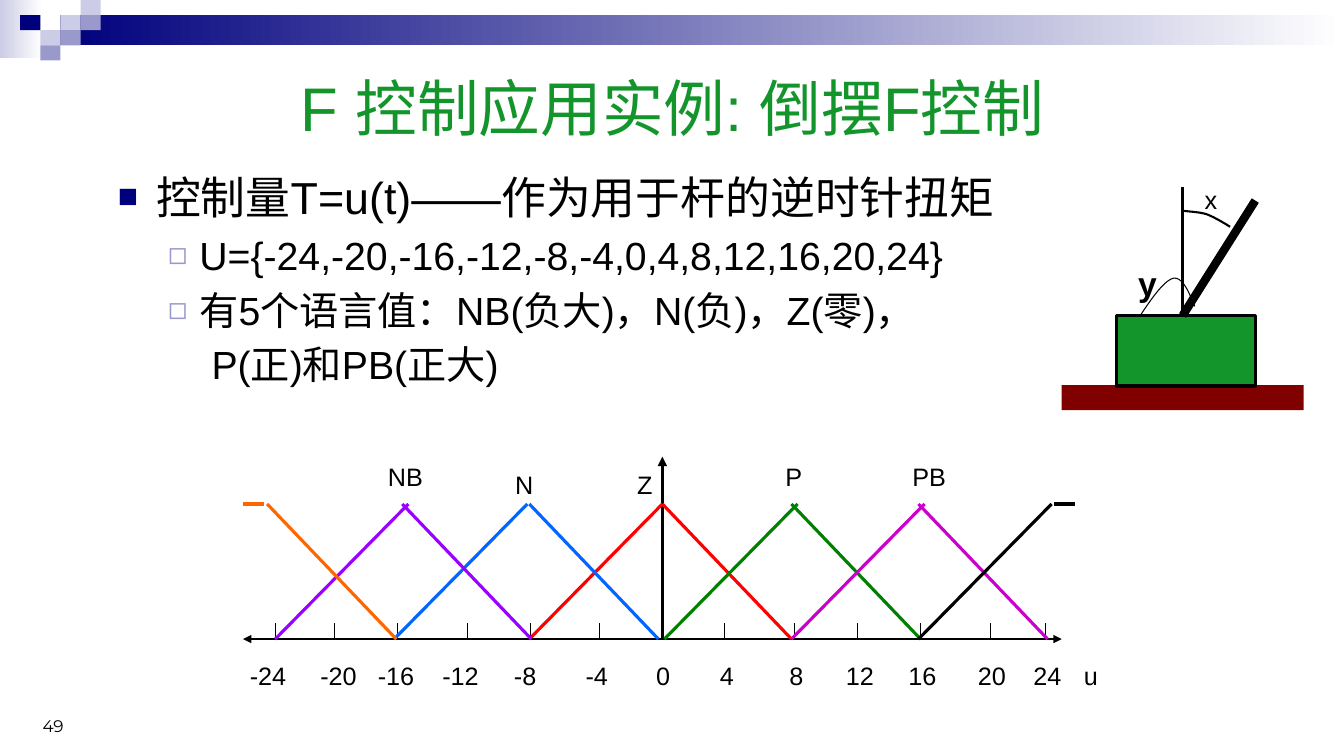
from pptx import Presentation
from pptx.dml.color import RGBColor
from pptx.enum.shapes import MSO_CONNECTOR, MSO_SHAPE
from pptx.enum.text import MSO_ANCHOR, PP_ALIGN
from pptx.oxml.ns import qn
from pptx.util import Inches, Pt
from lxml import etree

BLACK, NAVY, GREEN, MAROON = "000000", "00007D", "13952C", "800000"
LAVENDER, PERIWINKLE, WHITE = "CCCCE6", "9999CC", "FFFFFF"


def rgb(value):
    return RGBColor.from_string(value)


def add_xml(parent, tag, **attributes):
    return etree.SubElement(parent, qn(tag), attributes)


def bezier(start, *segments, steps=10):
    """Points along a chain of cubic curves."""
    points = [start]
    for c1, c2, end in segments:
        p0 = points[-1]
        for i in range(1, steps + 1):
            t, s = i / steps, 1 - i / steps
            points.append(tuple(
                s**3 * a + 3 * s * s * t * b + 3 * s * t * t * c + t**3 * d
                for a, b, c, d in zip(p0, c1, c2, end)))
    return points


class SlideBuilder:
    font = "Arial"

    def __init__(self, slide):
        self.slide = slide
        self.shapes = slide.shapes

    def rect(self, x, y, w, h, fill, line=None, width=2.25):
        shape = self.shapes.add_shape(
            MSO_SHAPE.RECTANGLE, Inches(x), Inches(y), Inches(w), Inches(h))
        shape.shadow.inherit = False
        if isinstance(fill, tuple):
            shape.fill.gradient()
            shape.fill.gradient_angle = 0
            for stop, position, color in zip(shape.fill.gradient_stops, (0, 1), fill):
                stop.position = position
                stop.color.rgb = rgb(color)
        else:
            shape.fill.solid()
            shape.fill.fore_color.rgb = rgb(fill)
        if line:
            shape.line.color.rgb = rgb(line)
            shape.line.width = Pt(width)
        else:
            shape.line.fill.background()

    def line(self, start, end, color=BLACK, width=2.25, head=False, tail=False):
        connector = self.shapes.add_connector(
            MSO_CONNECTOR.STRAIGHT, *(Inches(v) for v in (*start, *end)))
        connector.line.color.rgb = rgb(color)
        connector.line.width = Pt(width)
        outline = connector.line._get_or_add_ln()
        for tag, wanted in (("a:headEnd", head), ("a:tailEnd", tail)):
            if wanted:
                add_xml(outline, tag, type="triangle")
        add_xml(connector._element.spPr, "a:effectLst")

    def curve(self, points, width):
        points = [(Inches(x), Inches(y)) for x, y in points]
        builder = self.shapes.build_freeform(*points[0])
        builder.add_line_segments(points[1:], close=False)
        shape = builder.convert_to_shape()
        shape.shadow.inherit = False
        shape.fill.background()
        shape.line.color.rgb = rgb(BLACK)
        shape.line.width = Pt(width)

    def box(self, x, y, w, h, anchor=MSO_ANCHOR.TOP):
        frame = self.shapes.add_textbox(
            Inches(x), Inches(y), Inches(w), Inches(h)).text_frame
        frame.word_wrap = True
        frame.vertical_anchor = anchor
        return frame

    def styled_run(self, paragraph, text, size, color=BLACK, bold=False, font=None,
                   align=PP_ALIGN.LEFT):
        paragraph.alignment = align
        run = paragraph.add_run()
        run.text = text
        run.font.name = font or self.font
        run.font.size = Pt(size)
        run.font.bold = bold
        run.font.color.rgb = rgb(color)

    def text(self, x, y, w, h, text, size, anchor=MSO_ANCHOR.TOP, **style):
        frame = self.box(x, y, w, h, anchor)
        self.styled_run(frame.paragraphs[0], text, size, **style)

    def bullets(self, x, y, w, h, items):
        frame = self.box(x, y, w, h)
        for i, (text, size, margin, indent, bullet) in enumerate(items):
            paragraph = frame.add_paragraph() if i else frame.paragraphs[0]
            paragraph.space_before = Pt(size * 0.2)
            self.styled_run(paragraph, text, size)
            props = paragraph._p.get_or_add_pPr()
            props.set("marL", str(Inches(margin)))
            props.set("indent", str(Inches(indent)))
            if bullet:
                char, color, percent = bullet
                add_xml(add_xml(props, "a:buClr"), "a:srgbClr", val=color)
                add_xml(props, "a:buSzPct", val=str(percent * 1000))
                add_xml(props, "a:buFont", typeface=self.font)
                add_xml(props, "a:buChar", char=char)

    def tabbed(self, x, y, w, h, labels, centres, size):
        """One line of labels, each centred on its own tab stop."""
        frame = self.box(x, y, w, h)
        paragraph = frame.paragraphs[0]
        self.styled_run(paragraph, "".join("\t" + label for label in labels), size)
        tabs = add_xml(paragraph._p.get_or_add_pPr(), "a:tabLst")
        for centre in centres:
            add_xml(tabs, "a:tab", pos=str(Inches(centre - x - 0.1)), algn="ctr")


prs = Presentation()
prs.slide_width, prs.slide_height = Inches(13.33), Inches(7.5)
page = SlideBuilder(prs.slides.add_slide(prs.slide_layouts[6]))

# Header band and its checker squares (column, row, colour)
page.rect(0, 0, 0.42, 0.58, (LAVENDER, WHITE))
page.rect(0.6, 0.15, 12.73, 0.3, (NAVY, WHITE))
for column, row, color in (
        (3, 1, LAVENDER), (4, 0, LAVENDER), (4, 1, PERIWINKLE), (2, 2, LAVENDER),
        (1, 1, NAVY), (3, 2, PERIWINKLE), (2, 3, PERIWINKLE)):
    page.rect(column * 0.2, row * 0.15, 0.2, 0.15, color)

# Title and body
page.text(2.17, 0.5, 9, 1.12, "F 控制应用实例: 倒摆F控制", 44, MSO_ANCHOR.MIDDLE,
          color=GREEN, align=PP_ALIGN.CENTER)
square, hollow = ("■", NAVY, 75), ("◻", PERIWINKLE, 80)
page.bullets(1.07, 1.63, 10.06, 4.79, [
    ("控制量T=u(t)——作为用于杆的逆时针扭矩", 32, 0.38, -0.38, square),
    ("U={-24,-20,-16,-12,-8,-4,0,4,8,12,16,20,24}", 28, 0.81, -0.31, hollow),
    ("有5个语言值：NB(负大)，N(负)，Z(零)，", 28, 0.81, -0.31, hollow),
    ("P(正)和PB(正大)", 28, 0.93, 0, None),
])

# Membership chart: axes, ticks and tick labels
BASE, PEAK, CENTRE = 6.34, 5, 6.57
page.line((2.41, BASE), (10.53, BASE), width=1.5, head=True, tail=True)
page.line((CENTRE, BASE), (CENTRE, 4.53), tail=True)
for x in (2.73, 3.32, 3.94, 4.64, 5.26, 5.95, 7.19, 7.88, 8.5, 9.13, 9.82, 10.37):
    page.line((x, BASE), (x, BASE - 0.16), width=0.75)
page.tabbed(2.1, 6.5, 8.9, 0.4, [str(u) for u in range(-24, 25, 4)] + ["u"],
            (2.66, 3.36, 3.93, 4.57, 5.21, 5.92, 6.58,
             7.21, 7.9, 8.53, 9.15, 9.84, 10.39, 10.82), 18)

# Membership functions: colour, foot of the rising side, top of the falling side
RISE, FALL = 1.32, 1.28
for color, foot, top in (
        ("FF0000", 5.25, 6.57), ("0066FF", 3.91, 5.25), ("008000", 6.59, 7.85),
        ("9900FF", 2.73, 3.99), ("FF6600", None, 2.65), ("CC00CC", 7.85, 9.11),
        (BLACK, 9.11, None)):
    if foot is not None:
        page.line((foot, BASE), (foot + RISE, PEAK), color)
    if top is not None:
        page.line((top, PEAK), (top + FALL, BASE), color)
for x, color in ((2.41, "FF6600"), (10.45, BLACK)):
    page.line((x, PEAK), (x + 0.21, PEAK), color)
for name, x, y, w in (("NB", 3.75, 4.53, 0.63), ("N", 5.01, 4.61, 0.41),
                      ("Z", 6.22, 4.61, 0.41), ("P", 7.69, 4.53, 0.41),
                      ("PB", 8.95, 4.53, 0.55)):
    page.text(x, y, w, 0.4, name, 18)

# Inverted pendulum
PIVOT = (11.73, 3.13)
page.rect(10.53, 3.82, 2.4, 0.25, MAROON)
page.rect(11.07, 3.13, 1.38, 0.7, GREEN, BLACK)
page.line(PIVOT, (11.73, 1.86))
page.line(PIVOT, (12.45, 1.99), width=6)
page.curve(bezier((12.2, 2.25),
                  ((12.12, 2.2), (12.05, 2.16), (11.98, 2.13)),
                  ((11.9, 2.1), (11.77, 2.1), (11.73, 2.09))), 1.5)
page.curve(bezier((11.31, 3.13),
                  ((11.43, 2.95), (11.55, 2.78), (11.64, 2.76)),
                  ((11.73, 2.75), (11.79, 2.89), (11.85, 3.04))), 0.75)
page.text(11.85, 1.78, 0.42, 0.4, "x", 18)
page.text(11.19, 2.56, 0.36, 0.5, "y", 24, bold=True)

# Page number
page.text(0.08, 6.85, 0.65, 0.5, "49", 12, MSO_ANCHOR.BOTTOM,
          font="Montserrat", align=PP_ALIGN.RIGHT)

prs.save("out.pptx")
